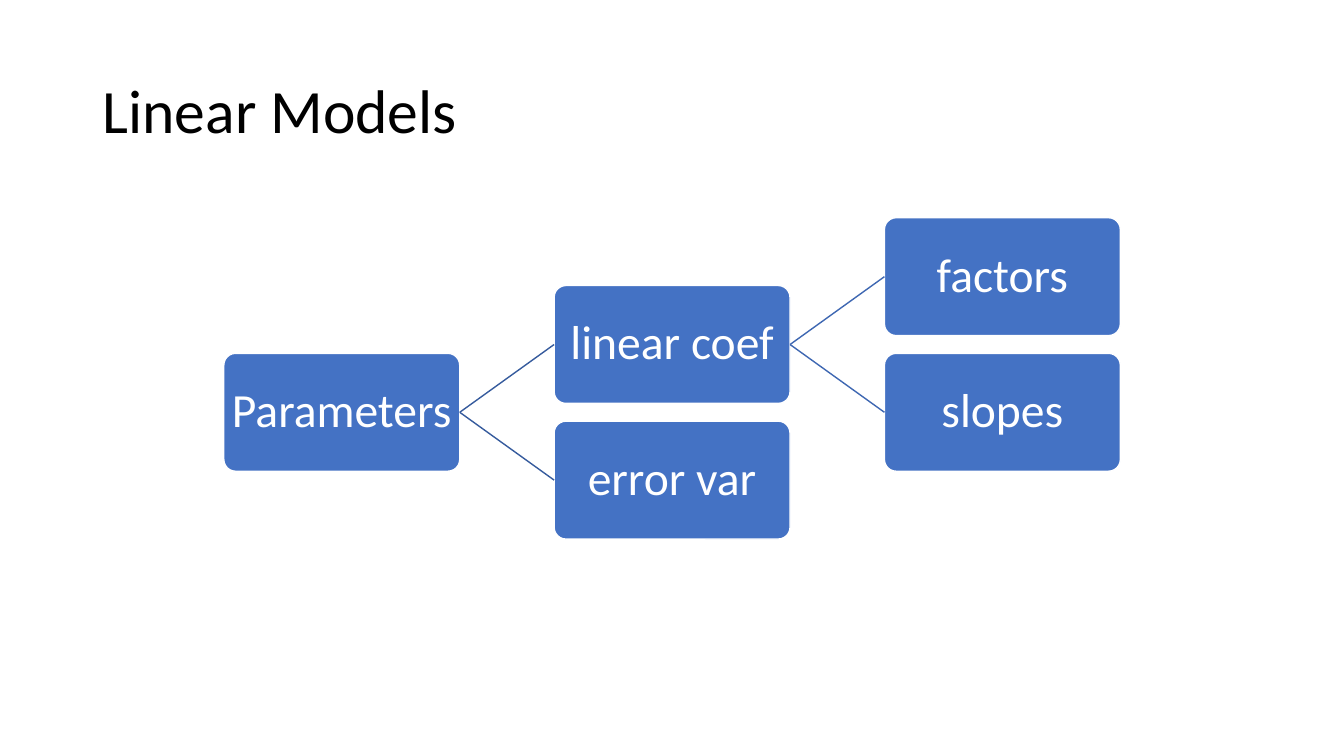
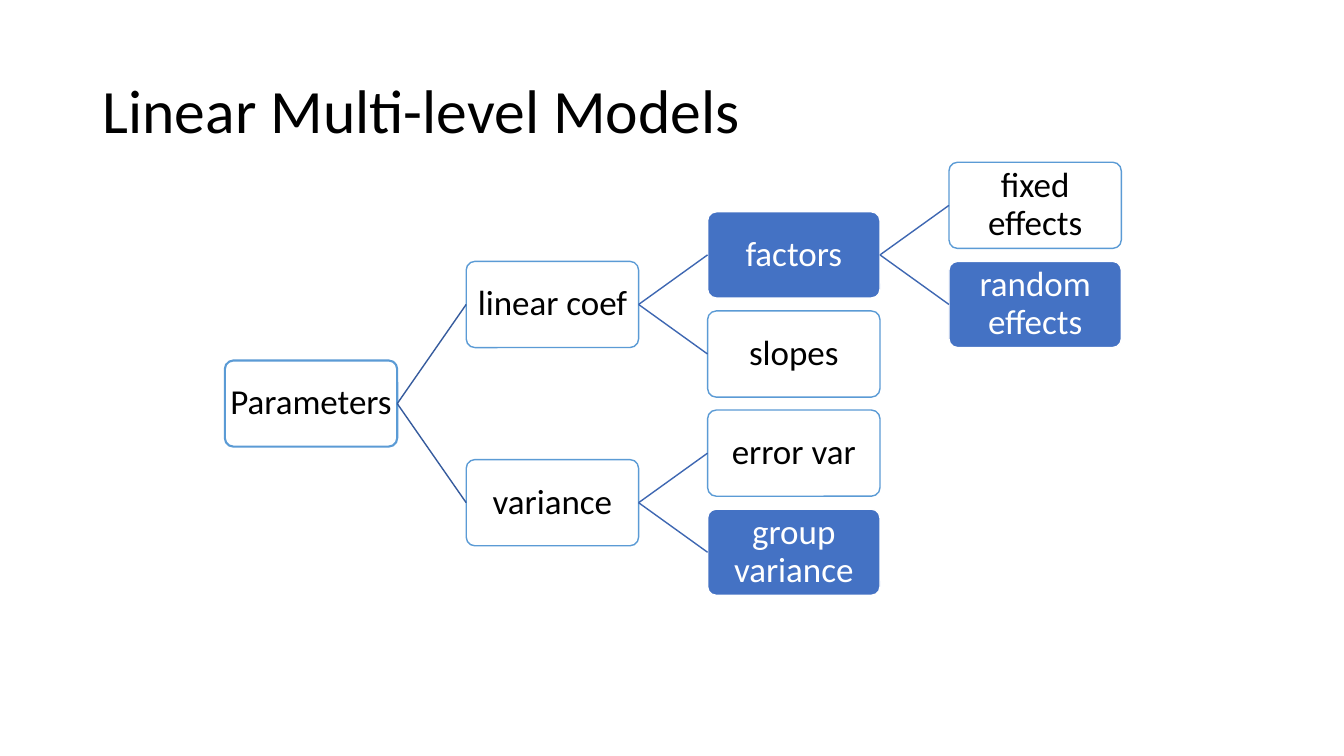
from pptx import Presentation
from pptx.dml.color import RGBColor
from pptx.enum.shapes import MSO_CONNECTOR, MSO_SHAPE
from pptx.enum.text import MSO_ANCHOR, PP_ALIGN
from pptx.util import Inches, Pt
from lxml import etree

# Shared style
FONT = "Calibri"
BLACK = RGBColor(0x00, 0x00, 0x00)
WHITE = RGBColor(0xFF, 0xFF, 0xFF)
BLUE = RGBColor(0x44, 0x72, 0xC4)
OUTLINE = RGBColor(0x5B, 0x9B, 0xD5)
ROOT_LINK = RGBColor(0x36, 0x5B, 0x9D)
CHILD_LINK = RGBColor(0x3E, 0x67, 0xB2)
DRAWING_NS = "http://schemas.openxmlformats.org/drawingml/2006/main"

# Tree proportions: column step in box widths, half-row step in box heights
COLUMN_STEP = 1.4
HALF_ROW_STEP = 0.575

# Each node: text, column, half-row, parent, filled
linear_nodes = [
    ("Parameters", 0, 2, None, True),
    ("linear coef", 1, 1, "Parameters", True),
    ("factors", 2, 0, "linear coef", True),
    ("slopes", 2, 2, "linear coef", True),
    ("error var", 1, 3, "Parameters", True),
]
multilevel_nodes = [
    ("Parameters", 0, 4, None, False),
    ("linear coef", 1, 2, "Parameters", False),
    ("factors", 2, 1, "linear coef", True),
    ("fixed effects", 3, 0, "factors", False),
    ("random effects", 3, 2, "factors", True),
    ("slopes", 2, 3, "linear coef", False),
    ("variance", 1, 6, "Parameters", False),
    ("error var", 2, 5, "variance", False),
    ("group variance", 2, 7, "variance", True),
]

# Each slide: title, tree left, tree top, box width, text size, nodes
slides = [
    ("Linear Models", 2.22, 2.16, 2.34, 34, linear_nodes),
    ("Linear Multi-level Models", 2.23, 1.61, 1.71, 25, multilevel_nodes),
]


def write(frame, text, size, color, align):
    frame.word_wrap = True
    frame.vertical_anchor = MSO_ANCHOR.MIDDLE
    para = frame.paragraphs[0]
    para.text = text
    para.alignment = align
    para.line_spacing = 0.9
    para.font.name = FONT
    para.font.size = Pt(size)
    para.font.color.rgb = color


deck = Presentation()
deck.slide_width, deck.slide_height = Inches(13.33), Inches(7.5)

for title, left, top, width, size, nodes in slides:
    page = deck.slides.add_slide(deck.slide_layouts[6])
    height = width / 2
    boxes = {}

    for text, column, half_row, parent, filled in nodes:
        # Box
        box = page.shapes.add_shape(
            MSO_SHAPE.ROUNDED_RECTANGLE,
            Inches(left + column * COLUMN_STEP * width),
            Inches(top + half_row * HALF_ROW_STEP * height),
            Inches(width), Inches(height))
        box.adjustments[0] = 0.1
        box.shadow.inherit = False
        box.fill.solid()
        box.fill.fore_color.rgb = BLUE if filled else WHITE
        box.line.color.rgb = WHITE if filled else OUTLINE
        box.line.width = Pt(1 if parent or filled else 1.5)
        frame = box.text_frame
        frame.margin_left = frame.margin_right = Inches(0.02)
        frame.margin_top = frame.margin_bottom = Inches(0.02)
        write(frame, text, size, WHITE if filled else BLACK, PP_ALIGN.CENTER)
        boxes[text] = box

        # Link from the parent's right side to the box's left side
        if parent:
            link = page.shapes.add_connector(MSO_CONNECTOR.STRAIGHT, 0, 0, 0, 0)
            link.begin_connect(boxes[parent], 3)
            link.end_connect(box, 1)
            link.line.color.rgb = ROOT_LINK if column == 1 else CHILD_LINK
            link.line.width = Pt(1)
            etree.SubElement(link._element.spPr, f"{{{DRAWING_NS}}}effectLst")

    # Title
    heading = page.shapes.add_textbox(
        Inches(0.92), Inches(0.4), Inches(11.5), Inches(1.45))
    write(heading.text_frame, title, 44, BLACK, PP_ALIGN.LEFT)

deck.save("out.pptx")
